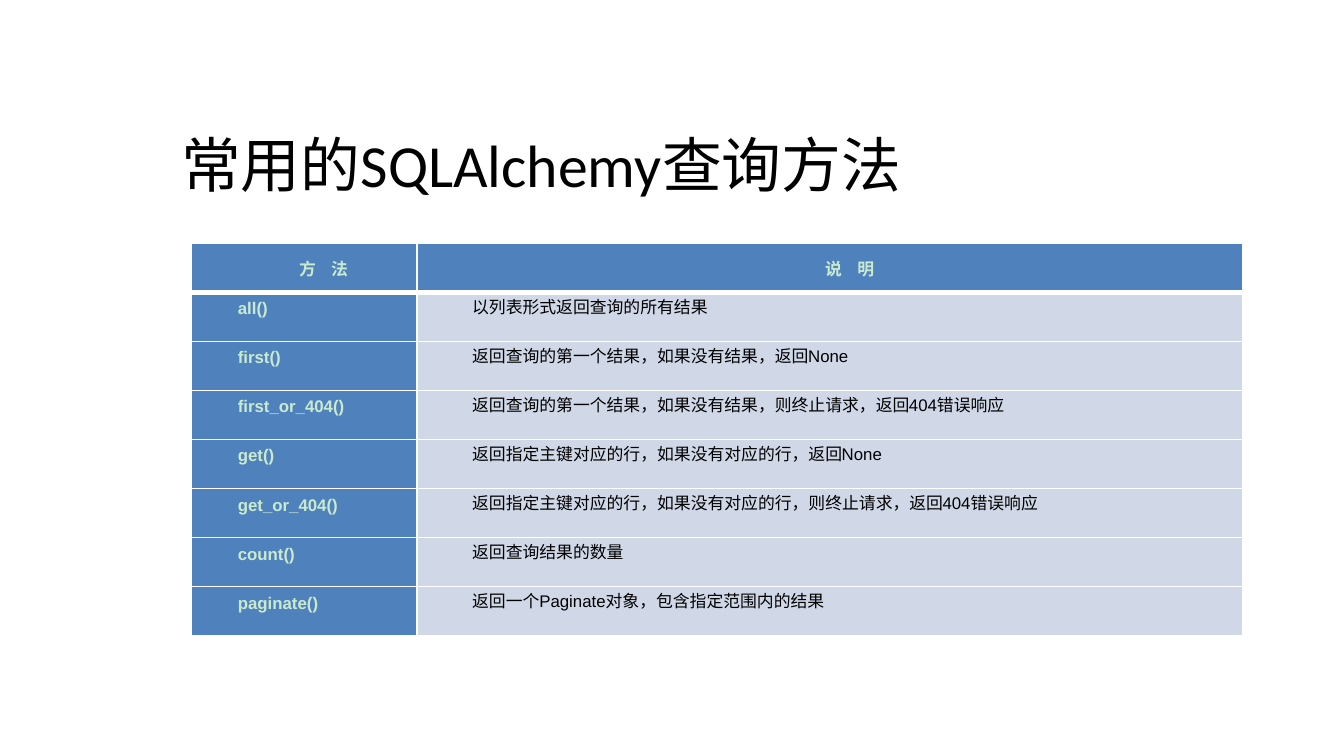
from pptx import Presentation
from pptx.dml.color import RGBColor as RGB
from pptx.enum.text import MSO_ANCHOR as ANCHOR, PP_ALIGN as ALIGN
from pptx.oxml import parse_xml
from pptx.oxml.ns import nsdecls
from pptx.util import Inches, Pt

WHITE = RGB(0xFF, 0xFF, 0xFF)
BLACK = RGB(0, 0, 0)
MINT = RGB(0xCA, 0xEA, 0xCE)
BLUE = RGB(0x4F, 0x81, 0xBD)
PALE = RGB(0xD0, 0xD8, 0xE8)

TITLE = "常用的SQLAlchemy查询方法"
HEADS = ("方    法", "说    明")
METHODS = [
    ("all()", "以列表形式返回查询的所有结果"),
    ("first()", "返回查询的第一个结果，如果没有结果，返回None"),
    ("first_or_404()", "返回查询的第一个结果，如果没有结果，则终止请求，返回404错误响应"),
    ("get()", "返回指定主键对应的行，如果没有对应的行，返回None"),
    ("get_or_404()", "返回指定主键对应的行，如果没有对应的行，则终止请求，返回404错误响应"),
    ("count()", "返回查询结果的数量"),
    ("paginate()", "返回一个Paginate对象，包含指定范围内的结果"),
]

# Cell formats: fill, indent (inches), alignment, anchor and font
LABEL_FONT = {"size": Pt(9), "name": "Arial", "bold": True}
TEXT_FONT = {**LABEL_FONT, "bold": False}
HEAD = (BLUE, 0.29, ALIGN.CENTER, ANCHOR.MIDDLE, LABEL_FONT, MINT)
LABEL = (BLUE, 0.28, ALIGN.JUSTIFY, ANCHOR.TOP, LABEL_FONT, MINT)
TEXT = (PALE, 0.34, ALIGN.JUSTIFY, ANCHOR.TOP, TEXT_FONT, BLACK)


def set_attrs(obj, values):
    for name, value in values.items():
        setattr(obj, name, value)


def write(p, text, font, color):
    r = p.add_run()
    r.text = text
    set_attrs(r.font, font)
    r.font.color.rgb = color


def add_borders(cell, widths):
    tc_pr = cell._tc.get_or_add_tcPr()
    for side, width in zip("LRTB", widths):
        tc_pr.append(parse_xml(
            f'<a:ln{side} {nsdecls("a")} w="{Pt(width)}"><a:solidFill>'
            f'<a:srgbClr val="{WHITE}"/></a:solidFill></a:ln{side}>'))


def format_cell(cell, text, style, widths):
    fill, indent, align, anchor, font, color = style
    add_borders(cell, widths)
    cell.fill.solid()
    cell.fill.fore_color.rgb = fill
    set_attrs(cell, {"margin_left": Inches(0.07), "margin_right": Inches(0.07),
                     "margin_top": 0, "margin_bottom": 0,
                     "vertical_anchor": anchor})
    p = cell.text_frame.paragraphs[0]
    set_attrs(p, {"alignment": align, "line_spacing": Pt(14)})
    p_pr = p._p.get_or_add_pPr()
    p_pr.set("marL", "0")
    p_pr.set("indent", str(Inches(indent)))
    write(p, text, font, color)


def add_title(slide, box):
    tf = slide.shapes.add_textbox(*box).text_frame
    set_attrs(tf, {"word_wrap": True, "vertical_anchor": ANCHOR.TOP})
    write(tf.paragraphs[0], TITLE, {"size": Pt(32), "name": "Calibri"}, BLACK)


def add_methods(slide, box):
    rows = [HEADS, *METHODS]
    table = slide.shapes.add_table(len(rows), len(HEADS), *box).table
    set_attrs(table, {"first_row": False, "horz_banding": False})
    width, height = box[2:]
    for col, share in zip(table.columns, (0.215, 0.785)):
        col.width = int(width * share)
    for i, texts in enumerate(rows):
        table.rows[i].height = height // len(rows)
        styles = (LABEL, TEXT) if i else (HEAD, HEAD)
        # The rule under the header is heavier
        widths = (1, 1, 3 if i == 1 else 1, 1 if i else 3)
        for j, (text, style) in enumerate(zip(texts, styles)):
            format_cell(table.cell(i, j), text, style, widths)


def main():
    prs = Presentation()
    # A 16:9 page
    set_attrs(prs, {"slide_width": Inches(10),
                    "slide_height": Inches(10) * 9 // 16})
    slide = prs.slides.add_slide(prs.slide_layouts[6])
    slide.background.fill.solid()
    slide.background.fill.fore_color.rgb = WHITE
    add_title(slide, [Inches(n) for n in (1.25, 0.9, 6.08, 0.67)])
    add_methods(slide, [Inches(n) for n in (1.42, 1.81, 7.83, 2.92)])
    prs.save("out.pptx")


if __name__ == "__main__":
    main()
